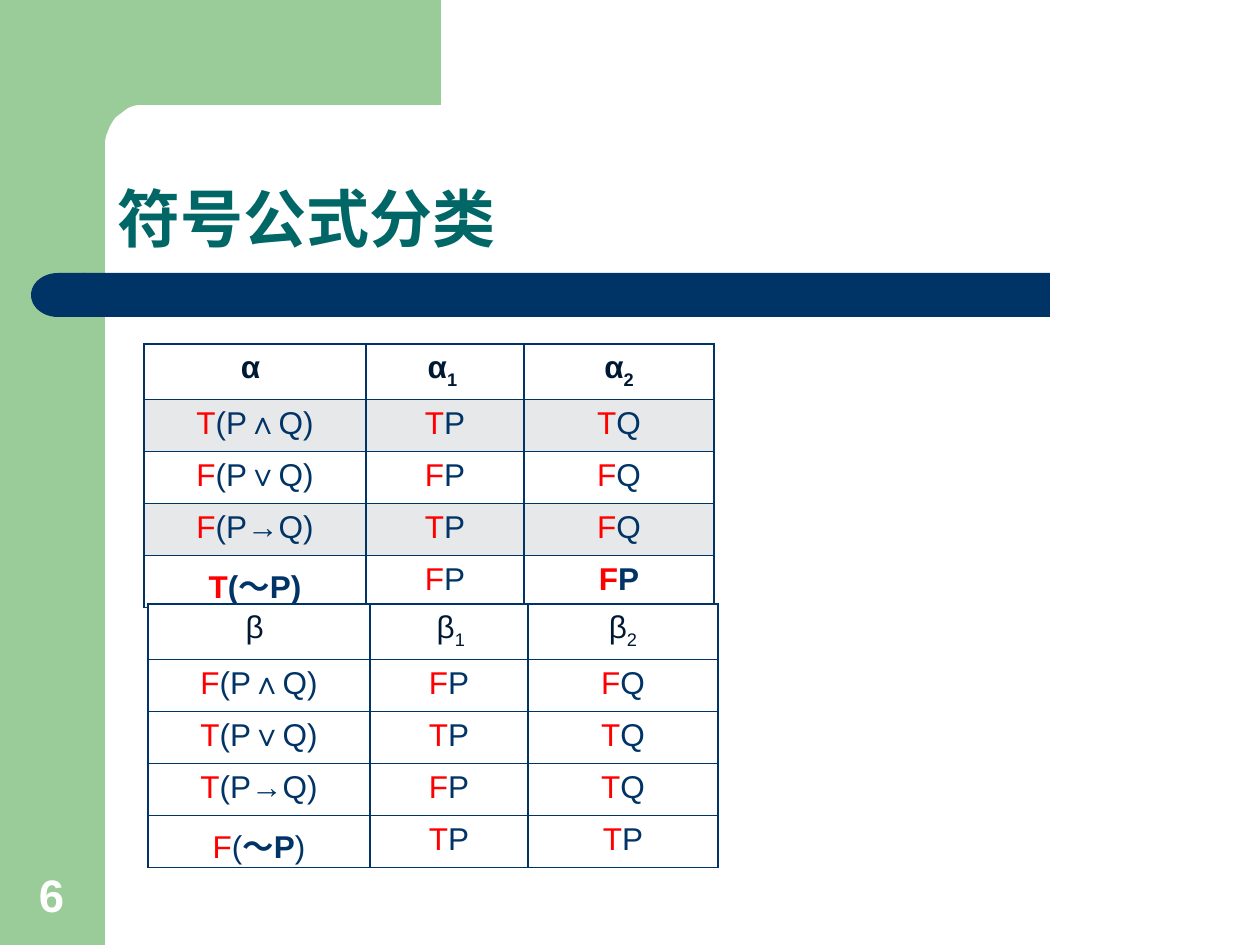
import math

from lxml import etree
from pptx import Presentation
from pptx.dml.color import RGBColor
from pptx.enum.shapes import MSO_SHAPE
from pptx.enum.text import MSO_ANCHOR, PP_ALIGN
from pptx.oxml.ns import qn
from pptx.util import Pt

RECT = MSO_SHAPE.RECTANGLE
DELAY = MSO_SHAPE.FLOWCHART_DELAY
BOTTOM = MSO_ANCHOR.BOTTOM
CENTER, LEFT = PP_ALIGN.CENTER, PP_ALIGN.LEFT

GREEN = RGBColor(0x99, 0xCC, 0x99)
NAVY = RGBColor(0x00, 0x33, 0x66)
DARK = RGBColor(0x00, 0x19, 0x33)
TEAL = RGBColor(0x00, 0x66, 0x66)
RED = RGBColor(0xFF, 0x00, 0x00)
GRAY = RGBColor(0xE7, 0xE8, 0xEA)
WHITE = RGBColor(0xFF, 0xFF, 0xFF)

FONT = "Arial"
PX = 914400 / 126
COLS = [222, 158, 190]
ROW = 52

# Runs are split by "|"; a leading "*" makes a run bold, "_" a subscript.
ALPHA = [
    ["*α ", "*α|*_1 ", "*α|*_2"],
    ["T|(P∧Q)", "T|P", "T|Q"],
    ["F|(P|*∨|Q)", "F|P", "F|Q"],
    ["F|(P|*→|Q)", "T|P", "F|Q"],
    ["*T|*(|*～P|*)", "F|P", "*F|*P"],
]
BETA = [
    ["β ", " β|_1 ", "β|_2"],
    ["F|(P∧Q)", "F|P", "F|Q"],
    ["T|(P|*∨|Q)", "T|P", "T|Q"],
    ["T|(P|*→|Q)", "F|P", "T|Q"],
    ["F|(|*～P|)", "T|P", "T|P"],
]


def px(*values):
    return [round(v * PX) for v in values]


def style(r, size, color, bold):
    r.font.name = FONT
    r.font.size = Pt(size)
    r.font.bold = bold
    r.font.color.rgb = color


def paint(sp, color):
    sp.shadow.inherit = False
    sp.fill.solid()
    sp.fill.fore_color.rgb = color
    sp.line.fill.background()


def add_block(s, kind, box, color):
    sp = s.shapes.add_shape(kind, *px(*box))
    paint(sp, color)
    return sp


def add_side_frame(s, x, y, w, h):
    """Green side band and top block, joined by a rounded inner corner."""
    add_block(s, RECT, (x, y, w, h), GREEN)
    rx, ry, steps = 38, 42, 12
    angles = [math.pi / 2 * i / steps for i in range(steps + 1)]
    arc = [(x + w + rx - rx * math.sin(a), y + w + ry - ry * math.cos(a))
           for a in angles]
    points = [(x + 441, y + w), *arc, (x + w, y + 161), (x + 63, y + 161),
              (x + 63, y)]
    fb = s.shapes.build_freeform(x + 441, y, scale=PX)
    fb.add_line_segments(points, close=True)
    paint(fb.convert_to_shape(), GREEN)


def add_title_bar(s, x, y, w, h):
    cap = 54
    add_block(s, RECT, (x + cap - 1, y, w - cap + 1, h), NAVY)
    add_block(s, DELAY, (x, y, cap, h), NAVY).rotation = 180


def set_title(s, text, x, y, w, h):
    sp = s.shapes.title
    sp.left, sp.top, sp.width, sp.height = px(x, y, w, h)
    tf = sp.text_frame
    tf.text = text
    tf.word_wrap = True
    tf.vertical_anchor = BOTTOM
    p = tf.paragraphs[0]
    p.alignment = LEFT
    p.line_spacing = 0.9
    style(p.runs[0], 36, TEAL, True)


def add_page_number(s, text, x, y, w, h):
    tf = s.shapes.add_textbox(*px(x, y, w, h)).text_frame
    tf.text = text
    tf.word_wrap = True
    tf.vertical_anchor = BOTTOM
    p = tf.paragraphs[0]
    p.alignment = CENTER
    style(p.runs[0], 26, WHITE, True)


def add_borders(cell):
    tcPr = cell._tc.get_or_add_tcPr()
    for side in ("a:lnL", "a:lnR", "a:lnT", "a:lnB"):
        ln = etree.SubElement(tcPr, qn(side), w=str(Pt(1)))
        fill = etree.SubElement(ln, qn("a:solidFill"))
        etree.SubElement(fill, qn("a:srgbClr"), val=str(NAVY))


def fill_cell(cell, markup, text_color, back_color):
    add_borders(cell)
    cell.fill.solid()
    cell.fill.fore_color.rgb = back_color
    p = cell.text_frame.paragraphs[0]
    p.alignment = CENTER
    for part in markup.split("|"):
        text = part.lstrip("*_")
        r = p.add_run()
        r.text = text
        style(r, 18, RED if text in ("T", "F") else text_color, "*" in part)
        if "_" in part:
            r._r.get_or_add_rPr().set("baseline", "-25000")


def add_formula_table(s, rows, x, y, band):
    box = px(x, y, sum(COLS), ROW * len(rows))
    table = s.shapes.add_table(len(rows), len(COLS), *box).table
    for col, width in zip(table.columns, px(*COLS)):
        col.width = width
    for i, row in enumerate(rows):
        table.rows[i].height = px(ROW)[0]
        for j, markup in enumerate(row):
            fill_cell(table.cell(i, j), markup, NAVY if i else DARK,
                      band if i % 2 else WHITE)


def main():
    prs = Presentation()
    prs.slide_width, prs.slide_height = px(1260, 945)
    s = prs.slides.add_slide(prs.slide_layouts[5])
    add_side_frame(s, 0, 0, 105, 945)
    add_title_bar(s, 31, 273, 1019, 44)
    set_title(s, "符号公式分类", 105, 105, 1092, 157)
    add_page_number(s, "6", 11, 861, 81, 67)
    add_formula_table(s, ALPHA, 144, 344, GRAY)
    add_formula_table(s, BETA, 148, 604, WHITE)
    prs.save("out.pptx")


if __name__ == "__main__":
    main()
